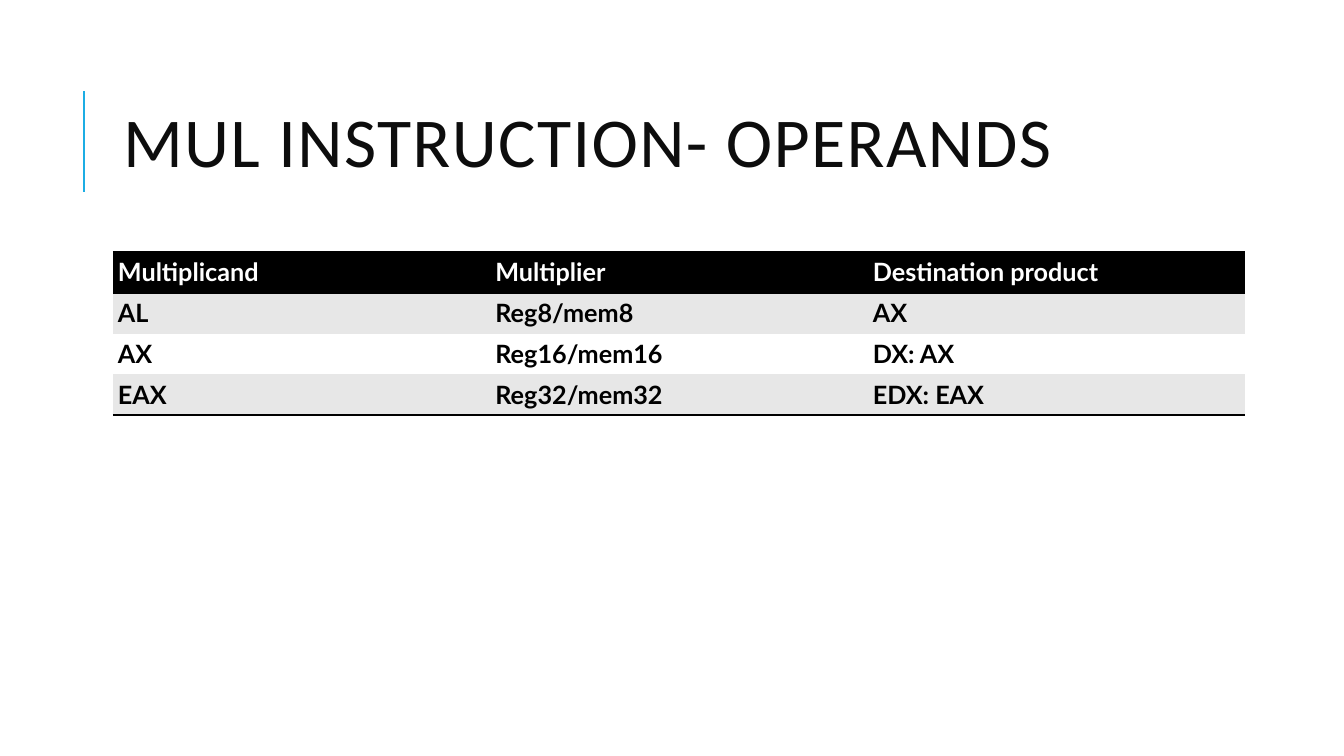
from lxml import etree
from pptx import Presentation
from pptx.dml.color import RGBColor
from pptx.enum import shapes, text
from pptx.oxml import parse_xml
from pptx.oxml.ns import nsdecls, qn
from pptx.util import Inches, Pt

BLUE = RGBColor(0x1C, 0xAD, 0xE4)
INK = RGBColor(0x0D, 0x0D, 0x0D)
BLACK = RGBColor(0, 0, 0)
WHITE = RGBColor(0xFF, 0xFF, 0xFF)
GREY = RGBColor(0xE7, 0xE7, 0xE7)
NO_STYLE = "{2D5ABB26-0587-4C30-8999-92F81FD0307C}"

ROWS = [
    ("Multiplicand", "Multiplier", "Destination product"),
    ("AL", "Reg8/mem8", "AX"),
    ("AX", "Reg16/mem16", "DX: AX"),
    ("EAX", "Reg32/mem32", "EDX: EAX"),
]


def add_border(cell, side):
    cell._tc.get_or_add_tcPr().append(parse_xml(
        f'<a:ln{side} {nsdecls("a")} w="{Pt(2)}"><a:solidFill>'
        f'<a:srgbClr val="{BLACK}"/></a:solidFill></a:ln{side}>'))


prs = Presentation()
prs.slide_width, prs.slide_height = Inches(13.33), Inches(7.5)
s = prs.slides.add_slide(prs.slide_layouts[5])

# Accent line beside the title
line = s.shapes.add_connector(shapes.MSO_CONNECTOR.STRAIGHT,
                              Inches(0.83), Inches(1.9), Inches(0.83), Inches(0.9))
line.line.color.rgb = BLUE
line.line.width = Pt(1.5)
etree.SubElement(line._element.spPr, qn("a:effectLst"))

# Title
title = s.shapes.title
title.left, title.top = Inches(1.12), Inches(0.64)
title.width, title.height = Inches(10.63), Inches(1.64)
tf = title.text_frame
tf.word_wrap = True
tf.auto_size = text.MSO_AUTO_SIZE.NONE
tf.vertical_anchor = text.MSO_ANCHOR.MIDDLE
p = tf.paragraphs[0]
p.alignment = text.PP_ALIGN.LEFT
p.line_spacing = 0.8
r = p.add_run()
r.text = "MUL INSTRUCTION- OPERANDS"
r.font.name, r.font.size, r.font.color.rgb = "Calibri", Pt(50), INK
r.font._element.set("spc", "100")

# Operand table
frame = s.shapes.add_table(len(ROWS), len(ROWS[0]), Inches(1.12), Inches(2.5),
                           Inches(11.23), Inches(1.62))
table = frame.table
table._tbl.tblPr.find(qn("a:tableStyleId")).text = NO_STYLE
for i, row in enumerate(ROWS):
    for j, value in enumerate(row):
        cell = table.cell(i, j)
        cell.margin_left = cell.margin_right = Inches(0.05)
        cell.margin_top = cell.margin_bottom = Inches(0.05)
        # Rules around the header and under the last row
        if i == 0:
            add_border(cell, "T")
        if i in (0, len(ROWS) - 1):
            add_border(cell, "B")
        cell.fill.solid()
        cell.fill.fore_color.rgb = BLACK if i == 0 else GREY if i % 2 else WHITE
        r = cell.text_frame.paragraphs[0].add_run()
        r.text = value
        r.font.name, r.font.size, r.font.bold = "Lato", Pt(18), True
        r.font.color.rgb = WHITE if i == 0 else BLACK

prs.save("out.pptx")
